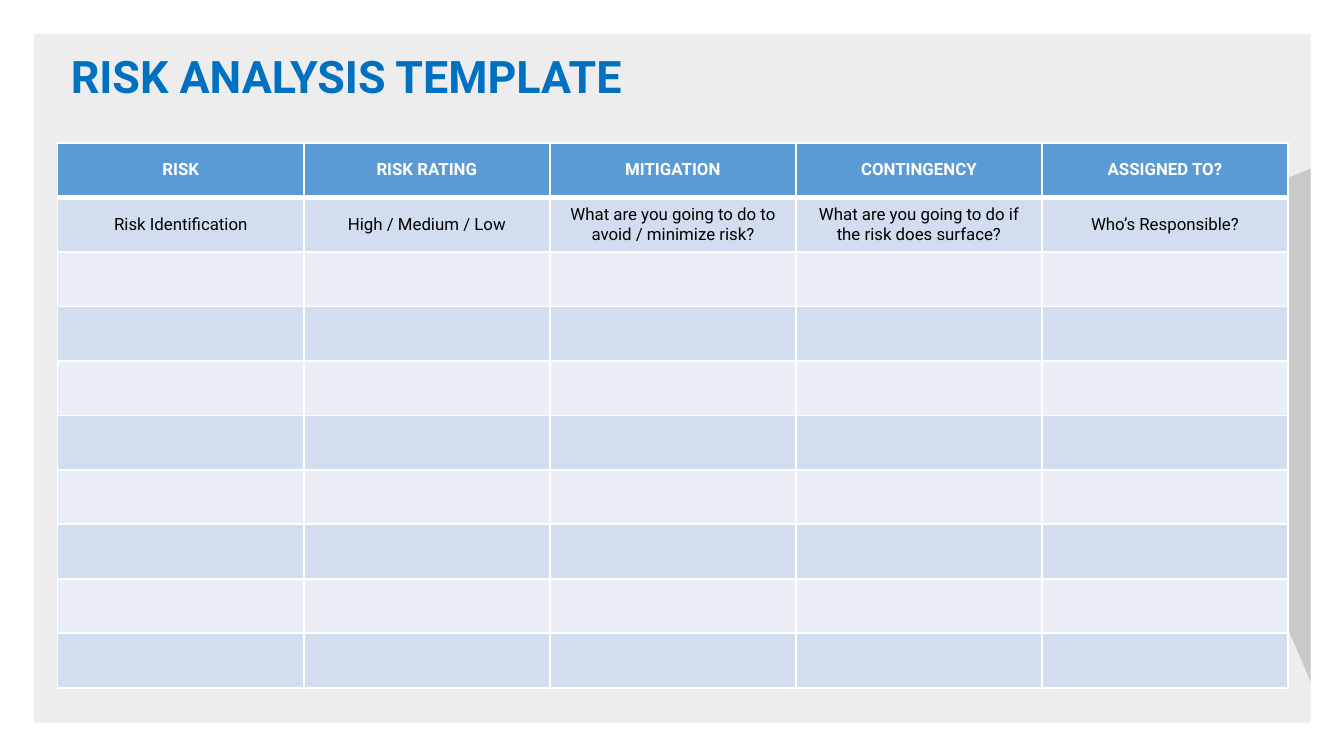
from dataclasses import dataclass

from lxml import etree
from pptx import Presentation
from pptx.dml.color import RGBColor
from pptx.enum import shapes, text
from pptx.oxml import ns
from pptx.util import Cm, Pt


@dataclass(frozen=True)
class Theme:
    """Colours, typeface and type sizes of the slide."""
    font: str = "Roboto"
    panel: str = "EDEDED"
    accent: str = "C9C9C9"
    title: str = "0070C0"
    header: str = "5B9BD5"
    bands: tuple = ("EAEFF7", "D2DEEF")
    white: str = "FFFFFF"
    ink: str = "000000"
    title_size: int = 24
    cell_size: int = 9


THEME = Theme()
HEADINGS = ("RISK", "RISK RATING", "MITIGATION", "CONTINGENCY", "ASSIGNED TO?")
PROMPTS = (
    "Risk Identification",
    "High / Medium / Low",
    "What are you going to do to avoid / minimize risk?",
    "What are you going to do if the risk does surface?",
    "Who’s Responsible?",
)
ROW_COUNT = 10


def cm_box(box):
    """Turn left, top, width and height in centimetres into lengths."""
    return [Cm(length) for length in box]


def set_type(paragraph, size, color, bold):
    """Give a paragraph its typeface, size, colour and weight."""
    font = paragraph.font
    font.name, font.size, font.bold = THEME.font, Pt(size), bold
    font.color.rgb = RGBColor.from_string(color)


def add_block(slide, preset, box, color, rotation=0):
    """Place a plain filled shape in the box."""
    block = slide.shapes.add_shape(preset, *cm_box(box))
    block.rotation = rotation
    block.shadow.inherit = False
    block.fill.solid()
    block.fill.fore_color.rgb = RGBColor.from_string(color)
    block.line.fill.background()


def add_backdrop(slide, box):
    """Place the grey panel with a slanted wedge on its right edge."""
    left, top, width, height = box
    wedge_width, wedge_height = 8.92, 3.81
    wedge = (left + width - wedge_width / 2, top + 5.49, wedge_width, wedge_height)
    add_block(slide, shapes.MSO_SHAPE.RECTANGLE, box, THEME.panel)
    add_block(slide, shapes.MSO_SHAPE.RIGHT_TRIANGLE, wedge, THEME.accent, 66.9)


def add_title(slide, box, wording):
    """Place the slide title in the box."""
    title = slide.shapes.add_textbox(*cm_box(box)).text_frame
    title.word_wrap = True
    title.text = wording
    set_type(title.paragraphs[0], THEME.title_size, THEME.title, True)


def set_borders(cell, top, bottom):
    """Draw white cell borders, with top and bottom widths in points."""
    properties = cell._tc.get_or_add_tcPr()
    widths = {"a:lnL": 1, "a:lnR": 1, "a:lnT": top, "a:lnB": bottom}
    for position, (side, width) in enumerate(widths.items()):
        line = etree.Element(ns.qn(side), w=str(Pt(width)))
        fill = etree.SubElement(line, ns.qn("a:solidFill"))
        etree.SubElement(fill, ns.qn("a:srgbClr"), val=THEME.white)
        properties.insert(position, line)


def add_risk_table(slide, box):
    """Place the risk table with a header, a prompt row and empty bands."""
    column_count = len(HEADINGS)
    table = slide.shapes.add_table(ROW_COUNT, column_count, *cm_box(box)).table
    for column in table.columns:
        column.width = Cm(box[2] / column_count)
    wording = [HEADINGS, PROMPTS] + [("",) * column_count] * (ROW_COUNT - 2)
    for index, (row, entries) in enumerate(zip(table.rows, wording)):
        row.height = Cm(box[3] / ROW_COUNT)
        is_header = index == 0
        fill = THEME.header if is_header else THEME.bands[index % 2]
        ink = THEME.white if is_header else THEME.ink
        for cell, entry in zip(row.cells, entries):
            cell.text = entry
            cell.vertical_anchor = text.MSO_ANCHOR.MIDDLE
            cell.fill.solid()
            cell.fill.fore_color.rgb = RGBColor.from_string(fill)
            paragraph = cell.text_frame.paragraphs[0]
            paragraph.alignment = text.PP_ALIGN.CENTER
            set_type(paragraph, THEME.cell_size, ink, is_header)
            set_borders(cell, 3 if index == 1 else 1, 3 if is_header else 1)


def build():
    """Build the risk analysis slide and save it."""
    deck = Presentation()
    deck.slide_width, deck.slide_height = Cm(25.4), Cm(14.29)
    slide = deck.slides.add_slide(deck.slide_layouts[6])
    add_backdrop(slide, (0.64, 0.64, 24.13, 13.02))
    add_title(slide, (1.09, 0.79, 23.65, 1.28), "RISK ANALYSIS TEMPLATE")
    add_risk_table(slide, (1.09, 2.7, 23.25, 10.3))
    deck.save("out.pptx")


build()
